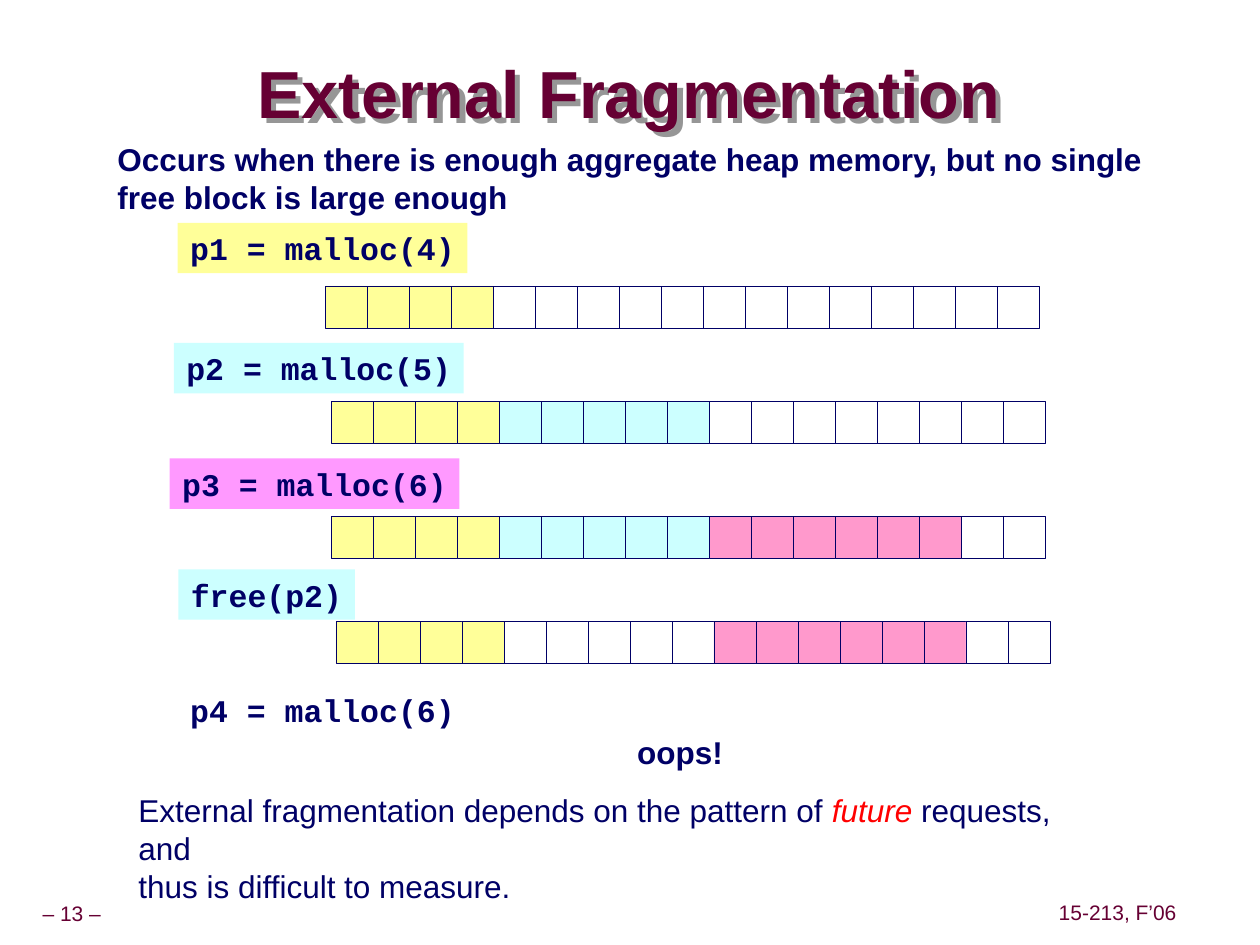
from lxml import etree
from pptx import Presentation
from pptx.dml.color import RGBColor
from pptx.enum.shapes import MSO_SHAPE
from pptx.enum.text import MSO_ANCHOR, MSO_AUTO_SIZE, PP_ALIGN
from pptx.oxml.ns import qn
from pptx.util import Pt

NAVY = RGBColor(0x00, 0x00, 0x66)
MAROON = RGBColor(0x66, 0x00, 0x33)
RED = RGBColor(0xFF, 0x00, 0x00)
WHITE = RGBColor(0xFF, 0xFF, 0xFF)
YELLOW = RGBColor(0xFF, 0xFF, 0x99)
CYAN = RGBColor(0xCC, 0xFF, 0xFF)
PINK = RGBColor(0xFF, 0x99, 0xCC)
MAGENTA = RGBColor(0xFF, 0x99, 0xFF)

SANS, MONO = "Arial", "Courier New"
CELL = 24  # one heap word
LABEL_H = 28.8


class Deck:
    """Holds the text style and the current slide."""

    size, color = 18, NAVY

    def __init__(self, prs):
        self.s = prs.slides.add_slide(prs.slide_layouts[6])

    def text(self, box, lines, font=SANS, size=size, color=color, bold=False,
             inset=(7.2, 3.6), align=PP_ALIGN.LEFT, anchor=MSO_ANCHOR.TOP,
             spacing=None, wrap=False, fill=None):
        """Each line is a list of (text, colour or None) runs; a colour marks emphasis."""
        sp = self.s.shapes.add_textbox(*map(Pt, box))
        if fill is not None:
            sp.fill.solid()
            sp.fill.fore_color.rgb = fill
        tf = sp.text_frame
        tf.word_wrap = wrap
        tf.auto_size = MSO_AUTO_SIZE.NONE if wrap else MSO_AUTO_SIZE.SHAPE_TO_FIT_TEXT
        tf.vertical_anchor = anchor
        tf.margin_left = tf.margin_right = Pt(inset[0])
        tf.margin_top = tf.margin_bottom = Pt(inset[1])
        for i, line in enumerate(lines):
            p = tf.add_paragraph() if i else tf.paragraphs[0]
            p.alignment = align
            if spacing:
                p.line_spacing = spacing
            for words, accent in line:
                r = p.add_run()
                r.text = words
                f = r.font
                f.name, f.size, f.bold = font, Pt(size), bold
                f.italic = accent is not None
                f.color.rgb = accent or color
        return sp

    def title(self, box, words):
        sp = self.text(box, [[(words, None)]], size=38, color=MAROON, bold=True,
                       inset=(0, 0), align=PP_ALIGN.CENTER,
                       anchor=MSO_ANCHOR.MIDDLE, spacing=0.87, wrap=True)
        # Grey drop shadow behind the letters
        effects = etree.SubElement(sp.element.spPr, qn("a:effectLst"))
        shadow = etree.SubElement(effects, qn("a:outerShdw"), dist=str(Pt(4.2)),
                                  dir="2700000", algn="ctr", rotWithShape="0")
        etree.SubElement(shadow, qn("a:srgbClr"), val="969696")

    def footer(self, box, words):
        self.text(box, [[(words, None)]], size=12, color=MAROON, inset=(3.6, 3.6),
                  align=PP_ALIGN.CENTER, anchor=MSO_ANCHOR.MIDDLE, spacing=0.9)

    def code(self, x, y, w, words, fill=None):
        self.text((x, y, w, LABEL_H), [[(words, None)]], font=MONO, bold=True, fill=fill)

    def heap(self, x, y, blocks):
        """Draws a row of words from (count, colour) blocks."""
        colors = [color for count, color in blocks for _ in range(count)]
        for i, color in enumerate(colors):
            sp = self.s.shapes.add_shape(MSO_SHAPE.RECTANGLE, Pt(x + i * CELL), Pt(y),
                                         Pt(CELL), Pt(CELL))
            sp.shadow.inherit = False
            sp.fill.solid()
            sp.fill.fore_color.rgb = color
            sp.line.color.rgb = NAVY
            sp.line.width = Pt(0.25)


def main():
    prs = Presentation()
    prs.slide_width, prs.slide_height = Pt(720), Pt(540)
    deck = Deck(prs)

    # Footer and title
    deck.footer((0, 512.6, 82, 20.2), "– 13 –")
    deck.footer((601.2, 512, 75, 20.2), "15-213, F’06")
    deck.title((94.3, 33.1, 530.6, 45.4), "External Fragmentation")

    # Heap after each request: label x, y, width, text, fill; row x, y, blocks
    steps = [
        ((101.6, 127.4, 165.6, "p1 = malloc(4)", YELLOW),
         (186, 163.4, [(4, YELLOW), (13, WHITE)])),
        ((99.4, 196, 165.6, "p2 = malloc(5)", CYAN),
         (189.2, 229.2, [(4, YELLOW), (5, CYAN), (8, WHITE)])),
        ((97, 262, 165.6, "p3 = malloc(6)", MAGENTA),
         (189.2, 295.2, [(4, YELLOW), (5, CYAN), (6, PINK), (2, WHITE)])),
        ((102, 325.4, 100.8, "free(p2)", CYAN),
         (192, 355, [(4, YELLOW), (5, WHITE), (6, PINK), (2, WHITE)])),
    ]
    for label, row in steps:
        deck.heap(*row)
        deck.code(*label)

    # Request that fails
    deck.code(101.6, 391.2, 165.6, "p4 = malloc(6)")
    deck.text((357, 415.4, 63.4, LABEL_H), [[("oops!", None)]], bold=True)

    # Definition and conclusion
    deck.text((60, 76.4, 601.2, 50.4), [
        [("Occurs when there is enough aggregate heap memory, but no single", None)],
        [("free block is large enough", None)],
    ], bold=True)
    deck.text((72, 448.6, 570.2, 50.4), [
        [("External fragmentation depends on the pattern of ", None),
         ("future", RED), (" requests, and", None)],
        [("thus is difficult to measure.", None)],
    ])

    prs.save("out.pptx")


if __name__ == "__main__":
    main()
